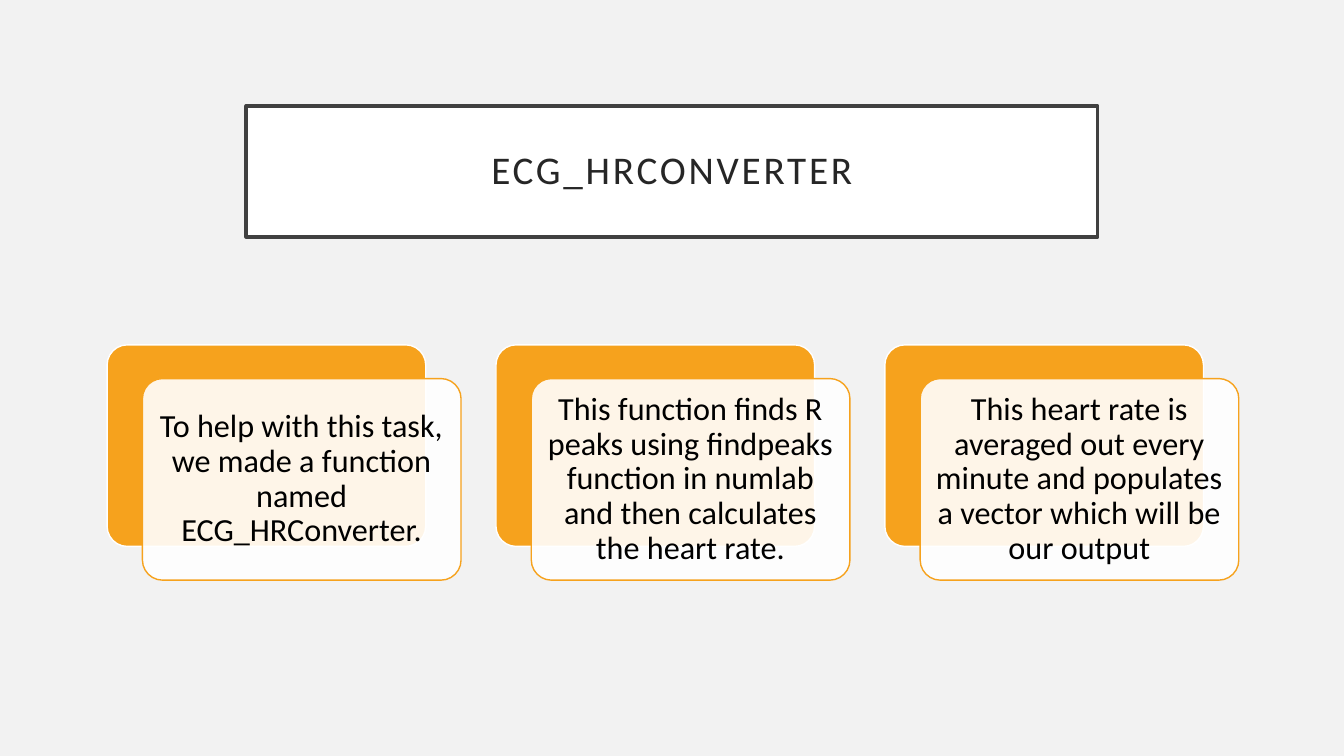
import pptx
import pptx.util
import pptx.dml.color
import pptx.enum.shapes
import pptx.enum.text
import pptx.oxml.ns
import lxml.etree

Cm, Pt = pptx.util.Cm, pptx.util.Pt
SHAPES = pptx.enum.shapes.MSO_SHAPE

TITLE = "ECG_HRCONVERTER"
STEPS = [
    "To help with this task, we made a function named ECG_HRConverter.",
    "This function finds R peaks using findpeaks function in numlab "
    "and then calculates the heart rate.",
    "This heart rate is averaged out every minute and populates a vector "
    "which will be our output",
]
COLOURS = {
    "background": "F2F2F2",
    "white": "FFFFFF",
    "frame": "404040",
    "title": "262626",
    "orange": "F6A21D",
    "text": "000000",
}
FONT = "Calibri"

# Lengths in centimetres
SLIDE_WIDTH, SLIDE_HEIGHT = 33.87, 19.05
TITLE_TOP, TITLE_WIDTH, TITLE_HEIGHT = 2.67, 21.46, 3.3
CARD_LEFT, CARD_TOP = 2.7, 8.69
CARD_WIDTH, CARD_HEIGHT = 8.03, 5.08
CARD_PITCH = 9.8
FRONT_SHIFT = (0.89, 0.85)


def colour(name):
    return pptx.dml.color.RGBColor.from_string(COLOURS[name])


def add_box(slide, kind, left, top, width, height, fill, line, line_width, opacity=100):
    box = slide.shapes.add_shape(kind, Cm(left), Cm(top), Cm(width), Cm(height))
    box.shadow.inherit = False
    box.fill.solid()
    box.fill.fore_color.rgb = colour(fill)
    box.line.color.rgb = colour(line)
    box.line.width = Pt(line_width)
    if kind == SHAPES.ROUNDED_RECTANGLE:
        box.adjustments[0] = 0.1
    if opacity < 100:
        fill_colour = box.fill._xPr.find(".//" + pptx.oxml.ns.qn("a:srgbClr"))
        alpha = lxml.etree.SubElement(fill_colour, pptx.oxml.ns.qn("a:alpha"))
        alpha.set("val", str(opacity * 1000))
    return box


def write_text(box, text, size, ink, inset, spacing=0):
    """Centre text in the box; spacing is the extra letter gap in points."""
    frame = box.text_frame
    frame.word_wrap = True
    frame.vertical_anchor = pptx.enum.text.MSO_ANCHOR.MIDDLE
    frame.margin_left = frame.margin_right = Cm(inset)
    frame.margin_top = frame.margin_bottom = Cm(inset)
    para = frame.paragraphs[0]
    para.alignment = pptx.enum.text.PP_ALIGN.CENTER
    para.line_spacing = 0.9
    span = para.add_run()
    span.text = text
    span.font.name = FONT
    span.font.size = Pt(size)
    span.font.color.rgb = colour(ink)
    if spacing:
        span.font._element.set("spc", str(spacing * 100))


def add_step(slide, index, text):
    left = CARD_LEFT + index * CARD_PITCH
    add_box(slide, SHAPES.ROUNDED_RECTANGLE, left, CARD_TOP,
            CARD_WIDTH, CARD_HEIGHT, "orange", "white", 1)
    front = add_box(slide, SHAPES.ROUNDED_RECTANGLE,
                    left + FRONT_SHIFT[0], CARD_TOP + FRONT_SHIFT[1],
                    CARD_WIDTH, CARD_HEIGHT, "white", "orange", 1, opacity=90)
    write_text(front, text, size=23, ink="text", inset=0.25)


def main():
    deck = pptx.Presentation()
    deck.slide_width, deck.slide_height = Cm(SLIDE_WIDTH), Cm(SLIDE_HEIGHT)
    page = deck.slides.add_slide(deck.slide_layouts[6])
    page.background.fill.solid()
    page.background.fill.fore_color.rgb = colour("background")

    title = add_box(page, SHAPES.RECTANGLE, (SLIDE_WIDTH - TITLE_WIDTH) / 2, TITLE_TOP,
                    TITLE_WIDTH, TITLE_HEIGHT, "white", "frame", 2.5)
    write_text(title, TITLE, size=28, ink="title", inset=0.5, spacing=2)
    for index, text in enumerate(STEPS):
        add_step(page, index, text)
    deck.save("out.pptx")


if __name__ == "__main__":
    main()
